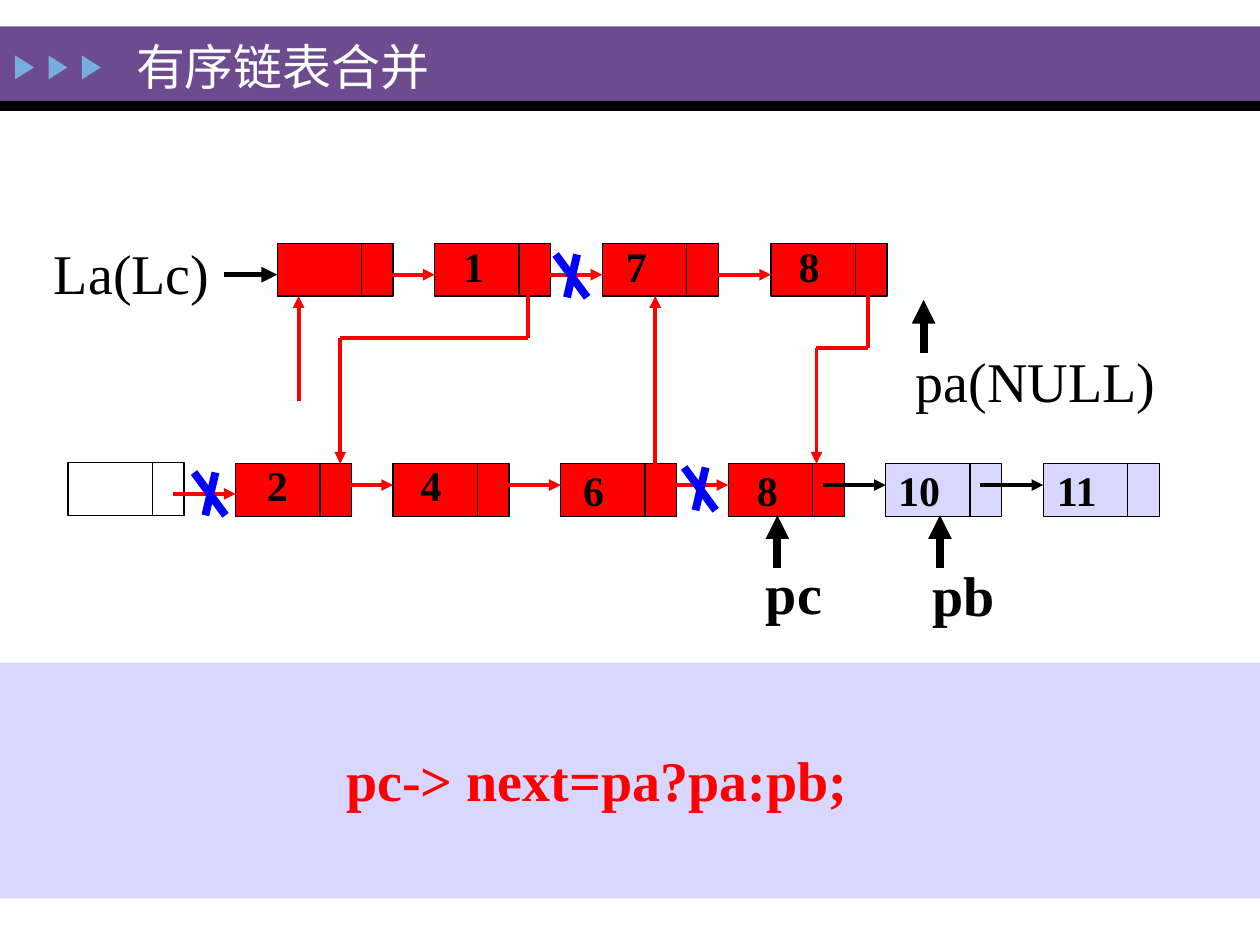
from dataclasses import dataclass

import pptx
import pptx.util
from lxml import etree
from pptx.dml.color import RGBColor
from pptx.enum.shapes import MSO_CONNECTOR, MSO_SHAPE
from pptx.enum.text import MSO_ANCHOR, MSO_AUTO_SIZE, PP_ALIGN
from pptx.oxml.ns import qn
from pptx.util import Inches


@dataclass(frozen=True)
class Theme:
    paper: str = "FEFFFF"
    ink: str = "000000"
    band: str = "6C4C8F"
    marker: str = "76AEDD"
    merged: str = "FF0000"
    pending: str = "D7D7FF"
    cut: str = "0000FF"
    font: str = "Times New Roman"
    title_size: float = 28
    label_size: float = 32
    value_size: float = 24
    border: float = 0.75
    link: float = 2.25
    head_link: float = 3
    heavy: float = 4.5


@dataclass(frozen=True)
class Box:
    left: float
    top: float
    width: float
    height: float

    def inner(self, left, top, width, height):
        return Box(self.left + left, self.top + top, width, height)

    def lengths(self):
        return [Inches(n) for n in (self.left, self.top, self.width, self.height)]


THEME = Theme()


def colour(code):
    return RGBColor.from_string(code)


def add_block(shapes, box, fill, border=None, preset=MSO_SHAPE.RECTANGLE):
    block = shapes.add_shape(preset, *box.lengths())
    block.shadow.inherit = False
    block.fill.solid()
    block.fill.fore_color.rgb = colour(fill)
    if border:
        block.line.color.rgb = colour(border)
        block.line.width = pptx.util.Pt(THEME.border)
    else:
        block.line.fill.background()
    return block


def add_line(shapes, box, start, end, ink, width, arrow=True):
    ends = [Inches(n) for x, y in (start, end) for n in (box.left + x, box.top + y)]
    line = shapes.add_connector(MSO_CONNECTOR.STRAIGHT, *ends)
    line.line.color.rgb = colour(ink)
    line.line.width = pptx.util.Pt(width)
    if arrow:
        etree.SubElement(line.line._get_or_add_ln(), qn("a:tailEnd"), type="triangle")
    etree.SubElement(line.element.spPr, qn("a:effectLst"))


def write(frame, wording, size, ink, bold):
    frame.text = wording
    paragraph = frame.paragraphs[0]
    paragraph.alignment = PP_ALIGN.LEFT
    font = paragraph.runs[0].font
    font.name = THEME.font
    font.size = pptx.util.Pt(size)
    font.bold = bold
    font.color.rgb = colour(ink)


def add_label(shapes, box, wording, size=THEME.label_size, ink=THEME.ink, bold=True, wrap=False):
    frame = shapes.add_textbox(*box.lengths()).text_frame
    write(frame, wording, size, ink, bold)
    frame.word_wrap = wrap
    frame.auto_size = MSO_AUTO_SIZE.SHAPE_TO_FIT_TEXT


def build_header(slide, box):
    add_block(slide.shapes, box.inner(0, 0, box.width, 0.59), THEME.band)
    add_block(slide.shapes, box.inner(0, 0.59, box.width, 0.08), THEME.ink)
    markers = slide.shapes.add_group_shape().shapes
    for step in range(3):
        marker_box = box.inner(0.1 + step * 0.265, 0.25, 0.19, 0.15)
        marker = add_block(markers, marker_box, THEME.marker, preset=MSO_SHAPE.ISOSCELES_TRIANGLE)
        marker.rotation = 90
    title = slide.shapes.title
    title.left, title.top, title.width, title.height = box.inner(0.98, 0.03, 3.08, 0.56).lengths()
    write(title.text_frame, "有序链表合并", THEME.title_size, THEME.paper, False)
    title.text_frame.vertical_anchor = MSO_ANCHOR.MIDDLE
    title.text_frame.auto_size = MSO_AUTO_SIZE.NONE
    title.element.getparent().append(title.element)


def build_chain(slide, box, nodes, link_y):
    for x, fill, *_ in nodes:
        cells = slide.shapes.add_group_shape().shapes
        add_block(cells, box.inner(x, 0, 0.67, box.height), fill, THEME.ink)
        add_block(cells, box.inner(x + 0.67, 0, 0.25, box.height), fill, THEME.ink)
    for x, fill, *_ in nodes[1:]:
        ink = THEME.ink if fill == THEME.pending else THEME.merged
        add_line(slide.shapes, box, (x - 0.5, link_y), (x, link_y), ink, THEME.link)
    for x, fill, value, dx, dy in nodes:
        if value:
            width = 0.37 if len(value) == 1 else 0.53
            add_label(slide.shapes, box.inner(x + dx, dy, width, 0.51), value, THEME.value_size)


def build_cross(slide, box):
    strokes = slide.shapes.add_group_shape().shapes
    for start, end in (((0.17, 0), (0.09, box.height)), ((0, 0), (box.width, box.height))):
        add_line(strokes, box, start, end, THEME.cut, THEME.heavy, arrow=False)


def build_diagram(slide, box):
    red, lilac = THEME.merged, THEME.pending
    first_list = [
        (2.0, red, "", 0, 0),
        (3.25, red, "1", 0.13, -0.07),
        (4.58, red, "7", 0.09, -0.07),
        (5.92, red, "8", 0.12, -0.07),
    ]
    second_list = [
        (1.67, red, "2", 0.15, -0.08),
        (2.92, red, "4", 0.12, -0.08),
        (4.25, red, "6", 0.08, -0.04),
        (5.58, red, "8", 0.13, -0.04),
        (6.83, lilac, "10", 0, -0.04),
        (8.08, lilac, "11", 0.01, -0.04),
    ]
    build_chain(slide, box.inner(0, 0, box.width, 0.42), first_list, 0.25)
    build_chain(slide, box.inner(0, 1.75, box.width, 0.42), second_list, 0.17)
    build_chain(slide, box.inner(0, 1.74, box.width, 0.42), [(0.34, THEME.paper, "", 0, 0)], 0)
    add_line(slide.shapes, box, (1.17, 1.99), (1.67, 1.99), red, THEME.link)

    relinks = [
        [(2.17, 1.25), (2.17, 0.42)],
        [(3.99, 0.25), (3.99, 0.75), (2.5, 0.75), (2.5, 1.75)],
        [(5.0, 1.92), (5.0, 0.42)],
        [(6.69, 0.25), (6.69, 0.83), (6.28, 0.83), (6.28, 1.75)],
    ]
    for route in relinks:
        for start, end in zip(route, route[1:]):
            add_line(slide.shapes, box, start, end, red, THEME.link, arrow=end == route[-1])
    for x, y in ((4.21, 0.09), (5.23, 1.78), (1.34, 1.82)):
        build_cross(slide, box.inner(x, y, 0.25, 0.34))

    add_line(slide.shapes, box, (1.58, 0.25), (2.0, 0.25), THEME.ink, THEME.head_link)
    add_label(slide.shapes, box.inner(0.13, -0.09, 1.48, 0.63), "La(Lc)", bold=False, wrap=True)
    add_label(slide.shapes, box.inner(6.97, 0.77, 2.52, 0.63), "pa(NULL)", bold=False, wrap=True)
    add_label(slide.shapes, box.inner(7.1, 2.47, 0.7, 0.64), "pb")
    add_label(slide.shapes, box.inner(5.78, 2.45, 0.65, 0.64), "pc")
    for x, tip in ((7.13, 0.45), (7.26, 2.16), (5.97, 2.16)):
        add_line(slide.shapes, box, (x, tip + 0.42), (x, tip), THEME.ink, THEME.heavy)


def build_code_panel(slide, box):
    add_block(slide.shapes, box, THEME.pending)
    statement_box = box.inner(2.65, 0.61, 5.11, 0.63)
    add_label(slide.shapes, statement_box, "pc-> next=pa?pa:pb;", ink=THEME.merged, wrap=True)


def main():
    deck = pptx.Presentation()
    deck.slide_width, deck.slide_height = Inches(10), Inches(7.5)
    slide = deck.slides.add_slide(deck.slide_layouts[5])
    slide.background.fill.solid()
    slide.background.fill.fore_color.rgb = colour(THEME.paper)
    build_header(slide, Box(0, 0.21, 10, 0.67))
    build_code_panel(slide, Box(0, 5.26, 10, 1.87))
    build_diagram(slide, Box(0.2, 1.93, 9.6, 3.2))
    deck.save("out.pptx")


if __name__ == "__main__":
    main()
